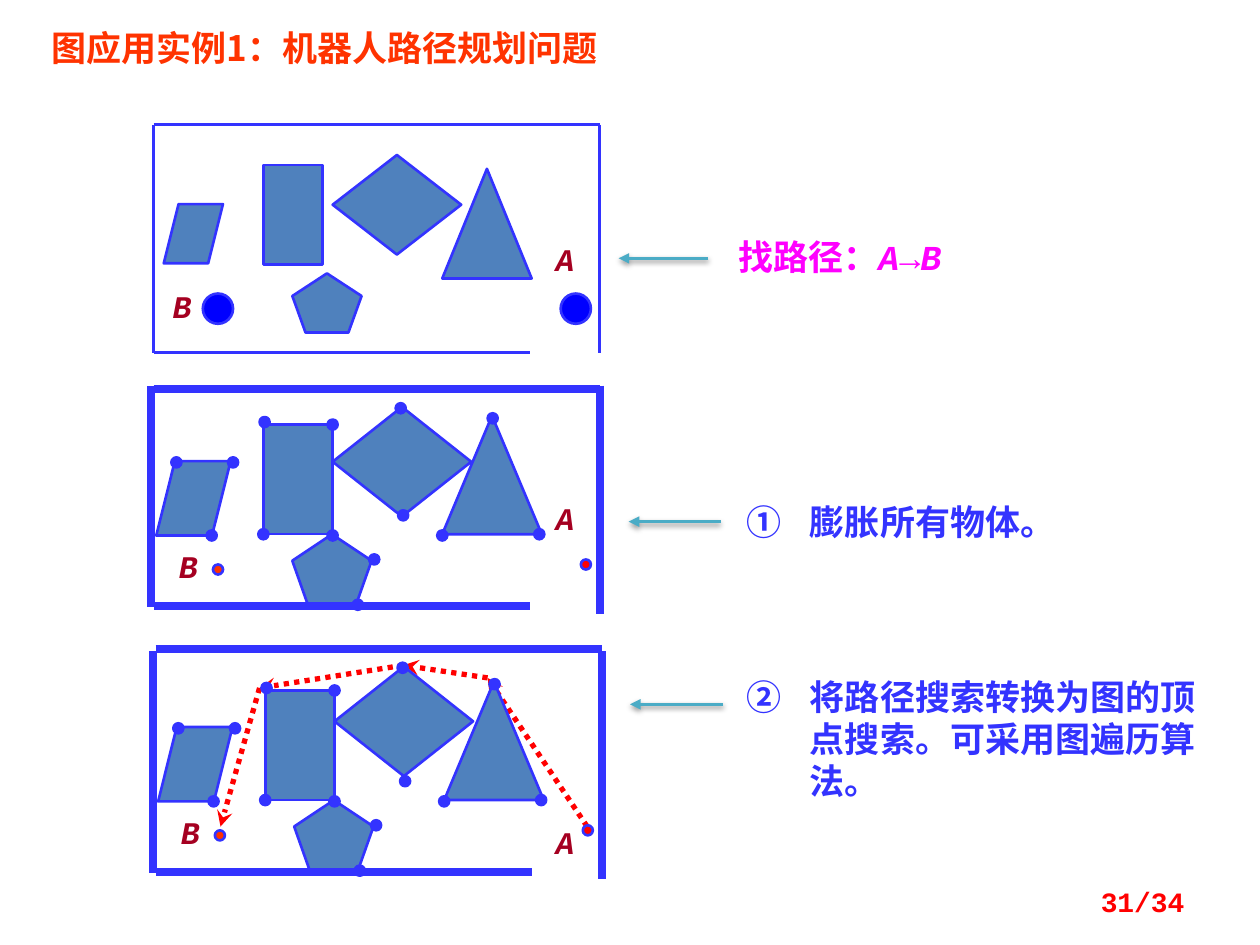
"""Build the robot path planning slide."""
from dataclasses import dataclass
from typing import Optional

from lxml import etree
from pptx import Presentation
from pptx.dml.color import RGBColor
from pptx.enum.dml import MSO_LINE
from pptx.enum.shapes import MSO_CONNECTOR, MSO_SHAPE
from pptx.enum.text import MSO_ANCHOR, MSO_AUTO_SIZE, PP_ALIGN
from pptx.oxml.ns import qn
from pptx.util import Inches, Pt

STRAIGHT = MSO_CONNECTOR.STRAIGHT
DOTTED = MSO_LINE.ROUND_DOT
ELLIPSE, RECTANGLE = MSO_SHAPE.OVAL, MSO_SHAPE.RECTANGLE
DIAMOND, PENTAGON = MSO_SHAPE.DIAMOND, MSO_SHAPE.REGULAR_PENTAGON
TRIANGLE, PARALLELOGRAM = MSO_SHAPE.ISOSCELES_TRIANGLE, MSO_SHAPE.PARALLELOGRAM
LEFT, CENTER, RIGHT = PP_ALIGN.LEFT, PP_ALIGN.CENTER, PP_ALIGN.RIGHT
MIDDLE, TOP = MSO_ANCHOR.MIDDLE, MSO_ANCHOR.TOP
GROW, FIXED = MSO_AUTO_SIZE.SHAPE_TO_FIT_TEXT, MSO_AUTO_SIZE.NONE
COLUMNS, ROWS = 100, 75
CELL = Inches(10) / COLUMNS


@dataclass(frozen=True)
class Theme:
    """Colours, fonts, type sizes and line widths of the slide."""
    title: str = "FF3300"
    task: str = "FF00FF"
    blue: str = "3333FF"
    obstacle: str = "4F81BD"
    disc: str = "0000FF"
    label: str = "A50021"
    red: str = "FF0000"
    teal: str = "4BACC6"
    mono: str = "Courier New"
    sans: str = "Noto Sans CJK SC"
    body_size: int = 20
    label_size: int = 18
    page_size: int = 16
    outline: float = 1.5
    wall: float = 4.5
    route: float = 3
    pointer: float = 2


@dataclass(frozen=True)
class Item:
    """A preset shape placed in grid cells."""
    kind: int
    left: float
    top: float
    width: float
    height: float


@dataclass(frozen=True)
class Panel:
    """One room: walls, obstacles, corner dots, endpoints and labels."""
    walls: tuple
    obstacles: tuple
    corners: tuple
    start: tuple
    goal: tuple
    start_label: tuple
    goal_label: tuple
    wall_width: float
    end_size: float
    start_fill: str
    goal_fill: str


@dataclass(frozen=True)
class Style:
    """Text formatting of one box."""
    color: str
    size: int
    font: str
    italic: bool = False
    align: int = LEFT
    anchor: int = TOP
    number: Optional[int] = None


THEME = Theme()
BODY = Style(THEME.task, THEME.body_size, THEME.mono)
LABEL = Style(THEME.label, THEME.label_size, THEME.mono, True, CENTER)
PAGE = Style(THEME.red, THEME.page_size, THEME.mono, align=RIGHT, anchor=MIDDLE)
TITLE = Style(THEME.title, THEME.body_size, THEME.sans)

DOT = 0.8
OPEN_ROOM = Panel(
    walls=((12.2, 9.9, 12.2, 28), (12.2, 9.9, 47.6, 9.9),
           (47.6, 9.9, 47.6, 28), (12.2, 28, 42.1, 28)),
    obstacles=(Item(RECTANGLE, 20.9, 13.1, 4.7, 7.9), Item(DIAMOND, 26.4, 12.3, 10.2, 7.9),
               Item(PENTAGON, 23.2, 21.7, 5.5, 4.7), Item(TRIANGLE, 35.1, 13.4, 7.1, 8.7),
               Item(PARALLELOGRAM, 13, 16.2, 4.7, 4.7)),
    corners=(), start=(44.5, 23.3), goal=(16.1, 23.3),
    start_label=(42.9, 18.6), goal_label=(12.5, 22.3),
    wall_width=THEME.outline, end_size=2.4,
    start_fill=THEME.disc, goal_fill=THEME.disc)


def grown_room(dx: float, dy: float, lift: float, start_label: tuple) -> Panel:
    """Return the room with enlarged obstacles, moved and with its upper parts lifted."""
    high = dy - lift
    spots = ((42.4, 42), (38.7, 32.8), (26, 33.3), (20.6, 33.1), (28, 47.6), (29.3, 44),
             (34.7, 42.1), (31.6, 40.5), (20.5, 42), (26, 42.1), (18.1, 36.3),
             (16.4, 42.1), (13.6, 36.3))
    return Panel(
        walls=((12 + dx, 30.6 + dy, 12 + dx, 48.2 + dy),
               (12.2 + dx, 30.9 + high, 47.6 + dx, 30.9 + high),
               (47.6 + dx, 30.6 + dy, 47.6 + dx, 48.7 + dy),
               (12.2 + dx, 48.1 + dy, 42.1 + dx, 48.1 + dy)),
        obstacles=(Item(RECTANGLE, 20.9 + dx, 33.7 + dy, 5.5, 8.7),
                   Item(DIAMOND, 26.4 + dx, 32.3 + high, 11, 8.7),
                   Item(PENTAGON, 23.2 + dx, 42.4 + dy, 6.3, 5.5),
                   Item(TRIANGLE, 35.1 + dx, 33 + dy, 7.9, 9.4),
                   Item(PARALLELOGRAM, 12.4 + dx, 36.6 + dy, 5.9, 5.9)),
        corners=((31.4 + dx, 32 + high), *((x + dx, y + dy) for x, y in spots)),
        start=(46.1 + dx, 44.4 + dy), goal=(16.9 + dx, 44.8 + dy),
        start_label=start_label, goal_label=(13 + dx, 42.9 + dy),
        wall_width=THEME.wall, end_size=DOT,
        start_fill=THEME.red, goal_fill=THEME.title)


PANELS = (grown_room(0, 0, 0, (42.9, 39.1)), grown_room(0.15, 21.1, 0.5, (42.9, 64.8)), OPEN_ROOM)
ROUTE = ((46.6, 65.6), (38.7, 53.8), (32, 52.8), (20.6, 54.6), (17.5, 65.6))
POINTERS = ((56.2, 20.5, 49.1), (57.2, 41.4, 49.9), (57.4, 55.9, 50))


def cells(*values: float) -> list[int]:
    """Turn grid cells into lengths."""
    return [round(value * CELL) for value in values]


def add_line(page, ends: tuple, color: str, width: float, head: str = "", shadow: bool = False, dash=None) -> None:
    """Draw a straight line, optionally with an arrowhead and a soft shadow."""
    line = page.shapes.add_connector(STRAIGHT, *cells(*ends))
    line.line.color.rgb = RGBColor.from_string(color)
    line.line.width = Pt(width)
    if dash:
        line.line.dash_style = dash
    properties = line._element.spPr
    if head:
        etree.SubElement(properties.find(qn("a:ln")), qn("a:tailEnd"), type=head)
    effects = etree.SubElement(properties, qn("a:effectLst"))
    if shadow:
        outer = etree.SubElement(effects, qn("a:outerShdw"), blurRad=str(Pt(3.1)),
                                 dist=str(Pt(1.6)), dir="5400000", rotWithShape="0")
        black = etree.SubElement(outer, qn("a:srgbClr"), val="000000")
        etree.SubElement(black, qn("a:alpha"), val="38000")


def add_item(page, item: Item, fill: str) -> None:
    """Draw a filled preset shape with the blue outline."""
    shape = page.shapes.add_shape(item.kind, *cells(item.left, item.top, item.width, item.height))
    shape.shadow.inherit = False
    shape.fill.solid()
    shape.fill.fore_color.rgb = RGBColor.from_string(fill)
    shape.line.color.rgb = RGBColor.from_string(THEME.blue)
    shape.line.width = Pt(THEME.outline)


def add_text(page, place: tuple, texts: tuple, style: Style, italics: tuple = ()) -> None:
    """Write one paragraph made of spans in a text box."""
    box = page.shapes.add_textbox(*cells(*place))
    frame = box.text_frame
    frame.word_wrap = True
    frame.auto_size = FIXED if style.anchor == MIDDLE else GROW
    frame.vertical_anchor = style.anchor
    para = frame.paragraphs[0]
    para.alignment = style.align
    if style.number:
        settings = para._p.get_or_add_pPr()
        settings.set("marL", str(Inches(0.5)))
        settings.set("indent", str(-Inches(0.5)))
        etree.SubElement(settings, qn("a:buAutoNum"), type="circleNumDbPlain", startAt=str(style.number))
    for index, text in enumerate(texts):
        span = para.add_run()
        span.text = text
        span.font.name = style.font
        span.font.size = Pt(style.size)
        span.font.bold = True
        span.font.italic = index in italics or style.italic
        span.font.color.rgb = RGBColor.from_string(style.color)
        etree.SubElement(span._r.get_or_add_rPr(), qn("a:ea"), typeface=THEME.sans)


def add_panel(page, panel: Panel) -> None:
    """Draw one room with everything in it."""
    for wall in panel.walls:
        add_line(page, wall, THEME.blue, panel.wall_width)
    for obstacle in panel.obstacles:
        add_item(page, obstacle, THEME.obstacle)
    for name, spot in (("A", panel.start_label), ("B", panel.goal_label)):
        add_text(page, (*spot, 3.9, 4), (name,), LABEL)
    for spot in panel.corners:
        add_item(page, Item(ELLIPSE, *spot, DOT, DOT), THEME.blue)
    for spot, fill in ((panel.start, panel.start_fill), (panel.goal, panel.goal_fill)):
        add_item(page, Item(ELLIPSE, *spot, panel.end_size, panel.end_size), fill)


def main() -> None:
    """Build and save the deck."""
    deck = Presentation()
    deck.slide_width, deck.slide_height = cells(COLUMNS, ROWS)
    page = deck.slides.add_slide(deck.slide_layouts[6])
    add_text(page, (57.6, 18.2, 32.3, 4.4), ("找路径：", "A", "→", "B"), BODY, (1, 3))
    for begin, end in zip(ROUTE, ROUTE[1:]):
        add_line(page, (*begin, *end), THEME.red, THEME.route, "stealth", dash=DOTTED)
    for panel in PANELS:
        add_panel(page, panel)
    for right, row, left in POINTERS:
        add_line(page, (right, row, left, row), THEME.teal, THEME.pointer, "triangle", True)
    steps = (((58.3, 39.2, 30, 4.4), "膨胀所有物体。"),
             ((58.3, 53.1, 38.6, 11.1), "将路径搜索转换为图的顶点搜索。可采用图遍历算法。"))
    for number, (place, text) in enumerate(steps, 1):
        add_text(page, place, (text,), Style(THEME.blue, THEME.body_size, THEME.mono, number=number))
    add_text(page, (3.1, 1.6, 61.7, 4.4), ("图应用实例1：机器人路径规划问题",), TITLE)
    add_text(page, (71.7, 69.5, 23.3, 4), ("31/34",), PAGE)
    deck.save("out.pptx")


if __name__ == "__main__":
    main()
